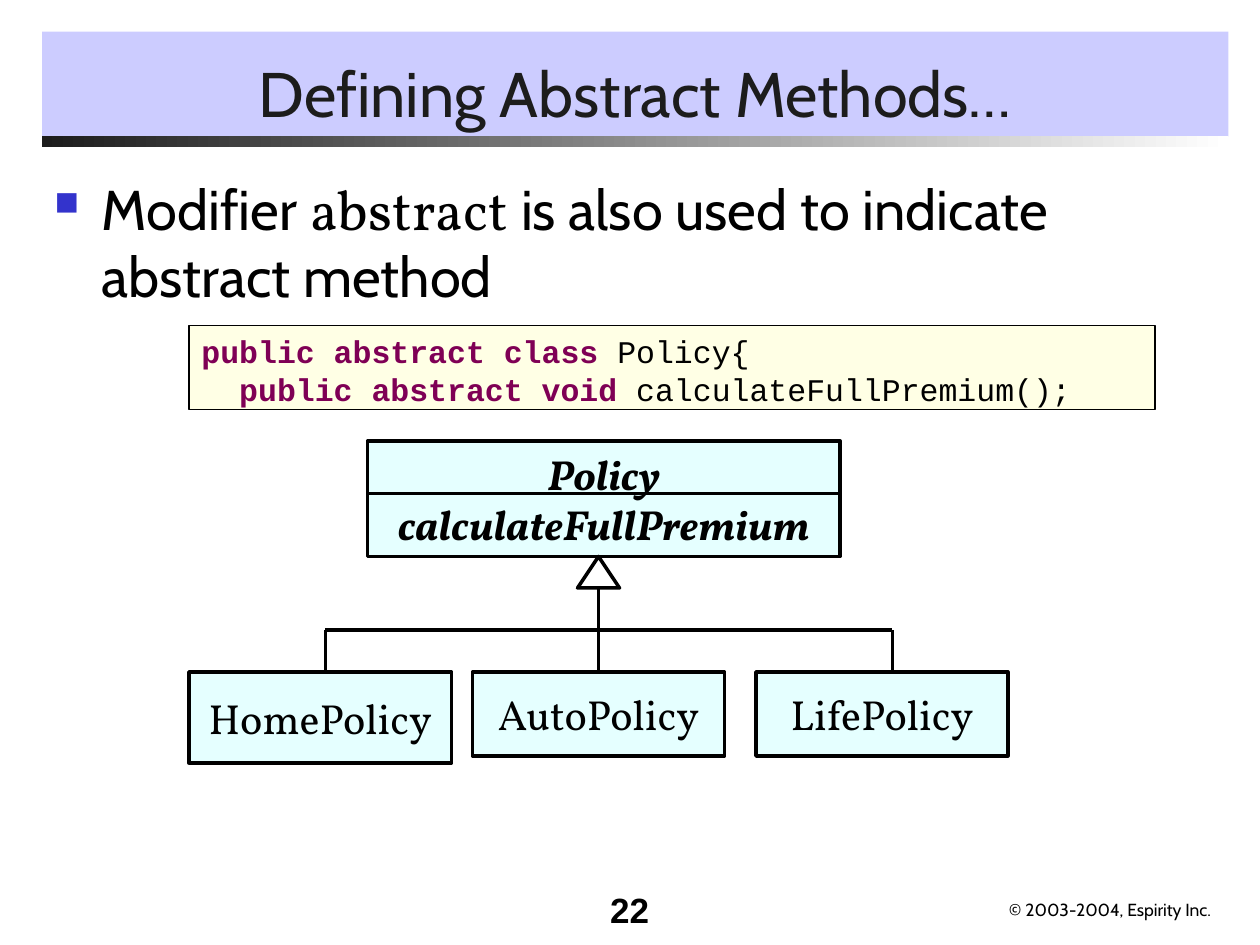
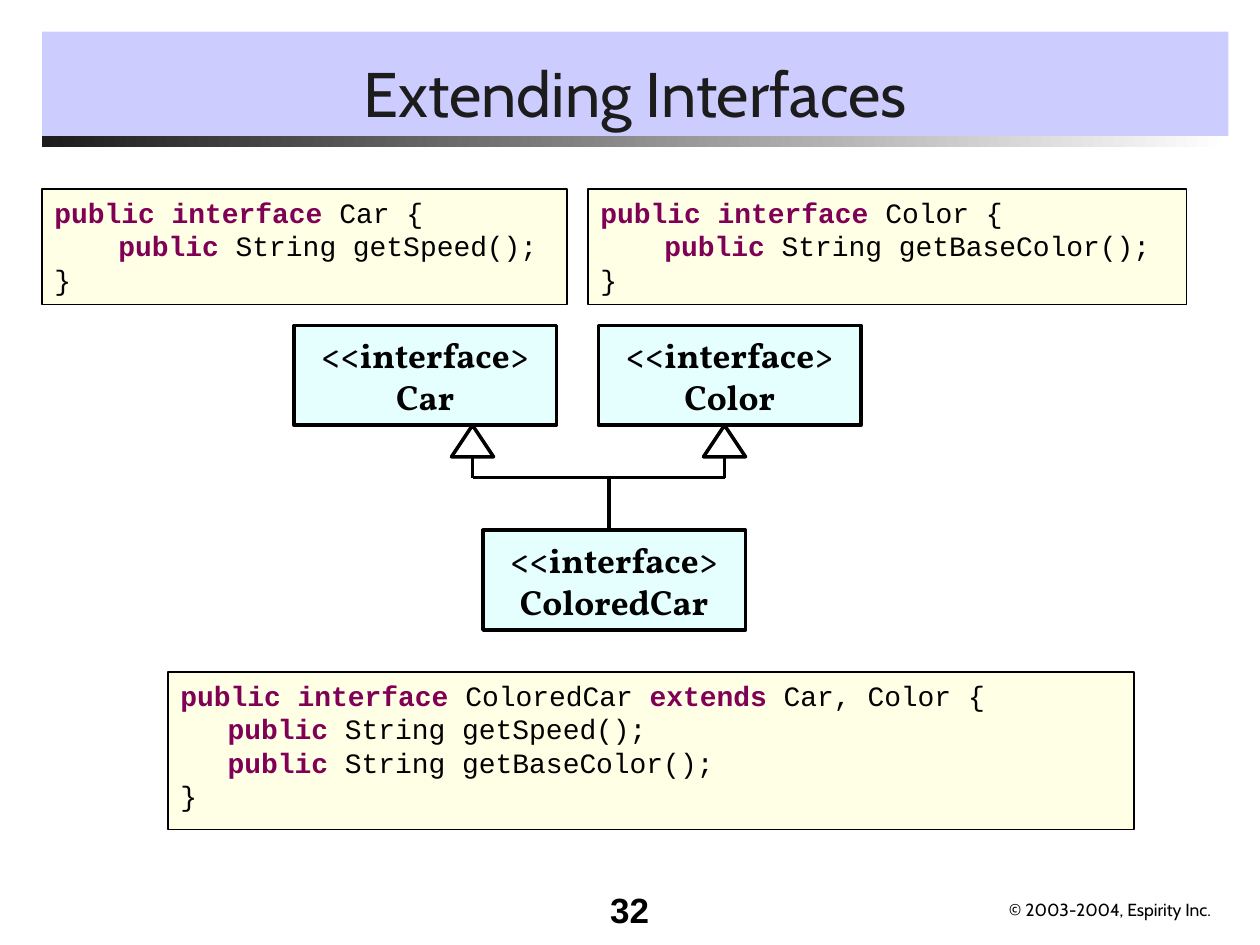
"""Build two slides on abstract methods and interface inheritance."""
from lxml.etree import SubElement
from pptx import Presentation
from pptx.dml.color import RGBColor
from pptx.enum.shapes import MSO_CONNECTOR, MSO_SHAPE
from pptx.enum.text import MSO_ANCHOR, MSO_AUTO_SIZE, PP_ALIGN
from pptx.oxml.ns import qn
from pptx.util import Pt

BLACK, CHARCOAL, WHITE = "000000", "1C1C1C", "FFFFFF"
BAND, BULLET, KEYWORD = "CCCCFF", "3333CC", "7F0055"
CODE_FILL, CLASS_FILL = "FFFFCC", "CCFFFF"
SANS, SERIF, MONO, NUMBER = "Cabin", "Vollkorn", "Courier New", "Arial"
COPYRIGHT = "© 2003-2004, Espirity Inc."
BAND_LEFT, BAND_WIDTH = 24, 678
HANGING = 27


def rgb(color):
    """Turn a hex string into a colour."""
    return RGBColor.from_string(color)


def add_run(paragraph, text, font, size, color=BLACK, bold=False, italic=False):
    """Append one formatted run to a paragraph."""
    run = paragraph.add_run()
    run.text = text
    run.font.name, run.font.size = font, Pt(size)
    run.font.bold, run.font.italic = bold, italic
    run.font.color.rgb = rgb(color)


def set_hanging(paragraph):
    """Give a paragraph a hanging indent and return its properties."""
    properties = paragraph._p.get_or_add_pPr()
    properties.set("marL", str(Pt(HANGING)))
    properties.set("indent", str(-Pt(HANGING)))
    return properties


def add_textbox(slide, left, top, width, height, wrap=True):
    """Add a text box and return its frame."""
    frame = slide.shapes.add_textbox(Pt(left), Pt(top), Pt(width), Pt(height)).text_frame
    frame.word_wrap = wrap
    return frame


def add_outlined(slide, kind, left, top, width, height, fill=None, weight=2):
    """Add a black-lined preset shape, half transparent if filled."""
    shape = slide.shapes.add_shape(kind, Pt(left), Pt(top), Pt(width), Pt(height))
    shape.shadow.inherit = False
    shape.line.color.rgb = rgb(BLACK)
    shape.line.width = Pt(weight)
    if fill:
        shape.fill.solid()
        shape.fill.fore_color.rgb = rgb(fill)
        tone = shape.fill._xPr.find(qn("a:solidFill")).find(qn("a:srgbClr"))
        SubElement(tone, qn("a:alpha")).set("val", "50000")
    else:
        shape.fill.background()
    return shape


def fill_lines(frame, lines):
    """Yield a paragraph of the frame with each line of text."""
    for index, line in enumerate(lines):
        yield (frame.add_paragraph() if index else frame.paragraphs[0]), line


def add_code(slide, left, top, width, height, size, lines):
    """Add a listing; bars in a line enclose its keywords."""
    box = add_outlined(slide, MSO_SHAPE.RECTANGLE, left, top, width, height, CODE_FILL, 0.75)
    frame = box.text_frame
    frame.word_wrap = True
    frame.vertical_anchor = MSO_ANCHOR.TOP
    for paragraph, line in fill_lines(frame, lines):
        set_hanging(paragraph)
        paragraph.alignment = PP_ALIGN.LEFT
        for position, part in enumerate(line.split("|")):
            is_keyword = position % 2 == 1
            if part:
                add_run(paragraph, part, MONO, size, KEYWORD if is_keyword else BLACK, is_keyword)


def add_class(slide, left, top, width, height, lines, size=24, bold=False, italic=False):
    """Add a class box with centred lines."""
    box = add_outlined(slide, MSO_SHAPE.RECTANGLE, left, top, width, height, CLASS_FILL)
    frame = box.text_frame
    frame.word_wrap = False
    frame.vertical_anchor = MSO_ANCHOR.MIDDLE
    for paragraph, line in fill_lines(frame, lines):
        paragraph.alignment = PP_ALIGN.CENTER
        add_run(paragraph, line, SERIF, size, BLACK, bold, italic)


def add_line(slide, x1, y1, x2, y2):
    """Draw a plain diagram line."""
    line = slide.shapes.add_connector(MSO_CONNECTOR.STRAIGHT, Pt(x1), Pt(y1), Pt(x2), Pt(y2))
    line.line.color.rgb = rgb(BLACK)
    line.line.width = Pt(2)
    SubElement(line._element.spPr, qn("a:effectLst"))


def add_generalization(slide, x, tip, branch):
    """Draw a hollow arrowhead and its stem down to the branch line."""
    width, height = 24, 18
    add_outlined(slide, MSO_SHAPE.ISOSCELES_TRIANGLE, x - width / 2, tip, width, height)
    add_line(slide, x, tip + height, x, branch)


def add_bullet(slide, parts):
    """Add the bulleted statement from (text, font) parts."""
    paragraph = add_textbox(slide, 24, 96, 681, 390).paragraphs[0]
    properties = set_hanging(paragraph)
    SubElement(SubElement(properties, qn("a:buClr")), qn("a:srgbClr")).set("val", BULLET)
    SubElement(properties, qn("a:buSzPct")).set("val", "60000")
    SubElement(properties, qn("a:buChar")).set("char", "■")
    for text, font in parts:
        add_run(paragraph, text, font, 32)


def add_slide(deck, heading, number):
    """Add a slide with title band, gradient rule and footer."""
    slide = deck.slides.add_slide(deck.slide_layouts[5])
    title = slide.shapes.title
    title.left, title.top = Pt(BAND_LEFT), Pt(18)
    title.width, title.height = Pt(BAND_WIDTH), Pt(60)
    title.fill.solid()
    title.fill.fore_color.rgb = rgb(BAND)
    frame = title.text_frame
    frame.auto_size = MSO_AUTO_SIZE.NONE
    frame.vertical_anchor = MSO_ANCHOR.BOTTOM
    frame.paragraphs[0].alignment = PP_ALIGN.CENTER
    add_run(frame.paragraphs[0], heading, SANS, 36, CHARCOAL)

    rule = slide.shapes.add_shape(
        MSO_SHAPE.RECTANGLE, Pt(BAND_LEFT), Pt(78), Pt(BAND_WIDTH), Pt(6))
    rule.shadow.inherit = False
    rule.line.fill.background()
    rule.fill.gradient()
    rule.fill.gradient_angle = 0
    for stop, color in zip(rule.fill.gradient_stops, (CHARCOAL, WHITE)):
        stop.color.rgb = rgb(color)

    page = add_textbox(slide, 318, 504, 60, 36).paragraphs[0]
    page.alignment = PP_ALIGN.RIGHT
    add_run(page, number, NUMBER, 20, bold=True)
    notice = add_textbox(slide, 569.5, 510, 133, 19.5, wrap=False)
    add_run(notice.paragraphs[0], COPYRIGHT, SANS, 10)
    return slide


def build_abstract_methods(deck):
    """Show an abstract method and the policy hierarchy."""
    slide = add_slide(deck, "Defining Abstract Methods…", "22")
    add_bullet(slide, [("Modifier ", SANS), ("abstract", SERIF),
                       (" is also used to indicate abstract method", SANS)])
    add_code(slide, 108, 186, 552, 48, 18, [
        "|public abstract class| Policy{",
        "  |public abstract void| calculateFullPremium();"])

    branch, subclass_top = 360, 384
    add_class(slide, 210, 252, 270, 66, ["Policy", "calculateFullPremium"], bold=True, italic=True)
    add_line(slide, 210, 282, 480, 282)
    add_generalization(slide, 342, 318, branch)
    add_line(slide, 186, branch, 510, branch)
    for name, left, width, height, joint in (("HomePolicy", 108, 150, 52, 186),
                                             ("AutoPolicy", 270, 144, 48, 342),
                                             ("LifePolicy", 432, 144, 48, 510)):
        add_class(slide, left, subclass_top, width, height, [name])
        add_line(slide, joint, branch, joint, subclass_top)


def build_extending_interfaces(deck):
    """Show an interface that extends two others."""
    slide = add_slide(deck, "Extending Interfaces", "32")
    for name, method, left, width in (("Car", "getSpeed", 24, 300),
                                      ("Color", "getBaseColor", 336, 342)):
        add_code(slide, left, 108, width, 66, 16, [
            f"|public interface| {name} {{", f"\t |public| String {method}();", "}"])
    add_code(slide, 96, 384, 552, 90, 16, [
        "|public interface| ColoredCar |extends| Car, Color {",
        "\t|public| String getSpeed();",
        "\t|public| String getBaseColor();",
        "}"])

    width, height, branch = 150, 57, 273
    for name, left, top in (("Car", 168, 186), ("Color", 342, 186), ("ColoredCar", 276, 303)):
        add_class(slide, left, top, width, height, ["<<interface>", name], 20, bold=True)
    for x in (270, 414):
        add_generalization(slide, x, 243, branch)
    add_line(slide, 270, branch, 414, branch)
    add_line(slide, 348, branch, 348, 303)


def main():
    """Build and save the presentation."""
    deck = Presentation()
    deck.slide_width, deck.slide_height = Pt(720), Pt(540)
    build_abstract_methods(deck)
    build_extending_interfaces(deck)
    deck.save("out.pptx")


if __name__ == "__main__":
    main()
